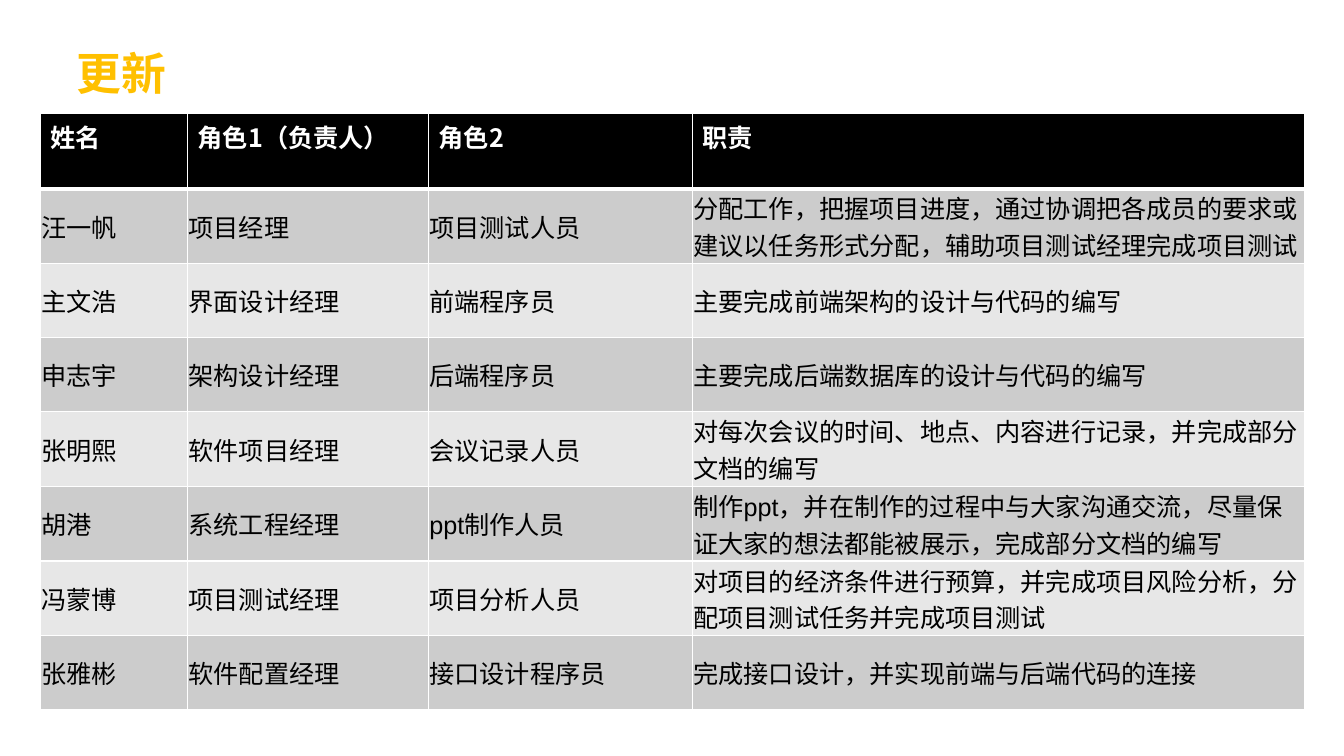
"""Build the team update slide with its role table."""
from dataclasses import astuple, dataclass

from lxml.etree import SubElement
from pptx import Presentation
from pptx.dml.color import RGBColor
from pptx.enum.text import MSO_ANCHOR, MSO_AUTO_SIZE, PP_ALIGN
from pptx.oxml.ns import qn
from pptx.slide import Slide
from pptx.table import _Cell
from pptx.text.text import TextFrame
from pptx.util import Cm, Pt

BLACK = RGBColor(0x00, 0x00, 0x00)
WHITE = RGBColor(0xFF, 0xFF, 0xFF)
GOLD = RGBColor(0xFF, 0xC0, 0x00)
DARK_BAND = RGBColor(0xCC, 0xCC, 0xCC)
LIGHT_BAND = RGBColor(0xE7, 0xE7, 0xE7)
CHINESE_FONT = "Noto Sans CJK SC"
TITLE_FORMAT = {"name": CHINESE_FONT, "size": Pt(32), "bold": True}
HEADER_FORMAT = {"name": CHINESE_FONT, "size": Pt(18), "bold": True}
BODY_FORMAT = {"name": "Arial", "size": Pt(18), "bold": False}
BODY_CELL_FORMAT = {
    "vertical_anchor": MSO_ANCHOR.MIDDLE,
    "margin_left": Cm(0.02),
    "margin_right": Cm(0.02),
    "margin_top": Cm(0.02),
    "margin_bottom": Cm(0.02),
}
COLUMN_WIDTHS = (3.71, 6.07, 6.65, 15.42)
HEADER_HEIGHT = 1.9
BODY_HEIGHT = 1.87


@dataclass
class Member:
    """One row of the role table."""

    name: str
    lead_role: str
    second_role: str
    duty: str


HEADER = Member("姓名", "角色1（负责人）", "角色2", "职责")
MEMBERS = (
    Member("汪一帆", "项目经理", "项目测试人员",
           "分配工作，把握项目进度，通过协调把各成员的要求或建议以任务形式分配，辅助项目测试经理完成项目测试"),
    Member("主文浩", "界面设计经理", "前端程序员", "主要完成前端架构的设计与代码的编写"),
    Member("申志宇", "架构设计经理", "后端程序员", "主要完成后端数据库的设计与代码的编写"),
    Member("张明熙", "软件项目经理", "会议记录人员",
           "对每次会议的时间、地点、内容进行记录，并完成部分文档的编写"),
    Member("胡港", "系统工程经理", "ppt制作人员",
           "制作ppt，并在制作的过程中与大家沟通交流，尽量保证大家的想法都能被展示，完成部分文档的编写"),
    Member("冯蒙博", "项目测试经理", "项目分析人员",
           "对项目的经济条件进行预算，并完成项目风险分析，分配项目测试任务并完成项目测试"),
    Member("张雅彬", "软件配置经理", "接口设计程序员", "完成接口设计，并实现前端与后端代码的连接"),
)


def apply_format(target: object, values: dict) -> None:
    """Set each named attribute on the target."""
    for name, value in values.items():
        setattr(target, name, value)


def write_text(frame: TextFrame, text: str, font_format: dict, color: RGBColor) -> None:
    """Write one left-aligned formatted run."""
    paragraph = frame.paragraphs[0]
    paragraph.alignment = PP_ALIGN.LEFT
    run = paragraph.add_run()
    run.text = text
    apply_format(run.font, font_format)
    run.font.color.rgb = color
    SubElement(run._r.get_or_add_rPr(), qn("a:ea"), typeface=CHINESE_FONT)


def add_borders(cell: _Cell, top: float, bottom: float) -> None:
    """Draw white borders of the given top and bottom point widths."""
    properties = cell._tc.get_or_add_tcPr()
    for side, width in (("L", 1), ("R", 1), ("T", top), ("B", bottom)):
        line = SubElement(properties, qn(f"a:ln{side}"), w=str(Pt(width)))
        fill = SubElement(line, qn("a:solidFill"))
        SubElement(fill, qn("a:srgbClr"), val=str(WHITE))


def add_title(slide: Slide) -> None:
    """Place and format the slide title."""
    title = slide.shapes.title
    apply_format(title, {"left": Cm(1.68), "top": Cm(1.02),
                         "width": Cm(11.81), "height": Cm(1.63)})
    apply_format(title.text_frame, {"auto_size": MSO_AUTO_SIZE.NONE, "word_wrap": True,
                                    "vertical_anchor": MSO_ANCHOR.MIDDLE})
    write_text(title.text_frame, "更新", TITLE_FORMAT, GOLD)


def add_role_table(slide: Slide) -> None:
    """Draw the table of members, roles and duties."""
    rows = (HEADER, *MEMBERS)
    heights = [HEADER_HEIGHT] + [BODY_HEIGHT] * len(MEMBERS)
    table = slide.shapes.add_table(
        len(rows), len(COLUMN_WIDTHS), Cm(1.02), Cm(2.86),
        Cm(sum(COLUMN_WIDTHS)), Cm(sum(heights))).table
    for column, width in zip(table.columns, COLUMN_WIDTHS):
        column.width = Cm(width)
    for index, (row, member, height) in enumerate(zip(table.rows, rows, heights)):
        row.height = Cm(height)
        is_header = index == 0
        band = BLACK if is_header else DARK_BAND if index % 2 else LIGHT_BAND
        for cell, text in zip(row.cells, astuple(member)):
            add_borders(cell, 3 if index == 1 else 1, 3 if is_header else 1)
            cell.fill.solid()
            cell.fill.fore_color.rgb = band
            if is_header:
                write_text(cell.text_frame, text, HEADER_FORMAT, WHITE)
            else:
                apply_format(cell, BODY_CELL_FORMAT)
                write_text(cell.text_frame, text, BODY_FORMAT, BLACK)


def main() -> None:
    """Create and save the presentation."""
    presentation = Presentation()
    apply_format(presentation, {"slide_width": Cm(33.87), "slide_height": Cm(19.05)})
    slide = presentation.slides.add_slide(presentation.slide_layouts[5])
    add_title(slide)
    add_role_table(slide)
    presentation.save("out.pptx")


if __name__ == "__main__":
    main()
